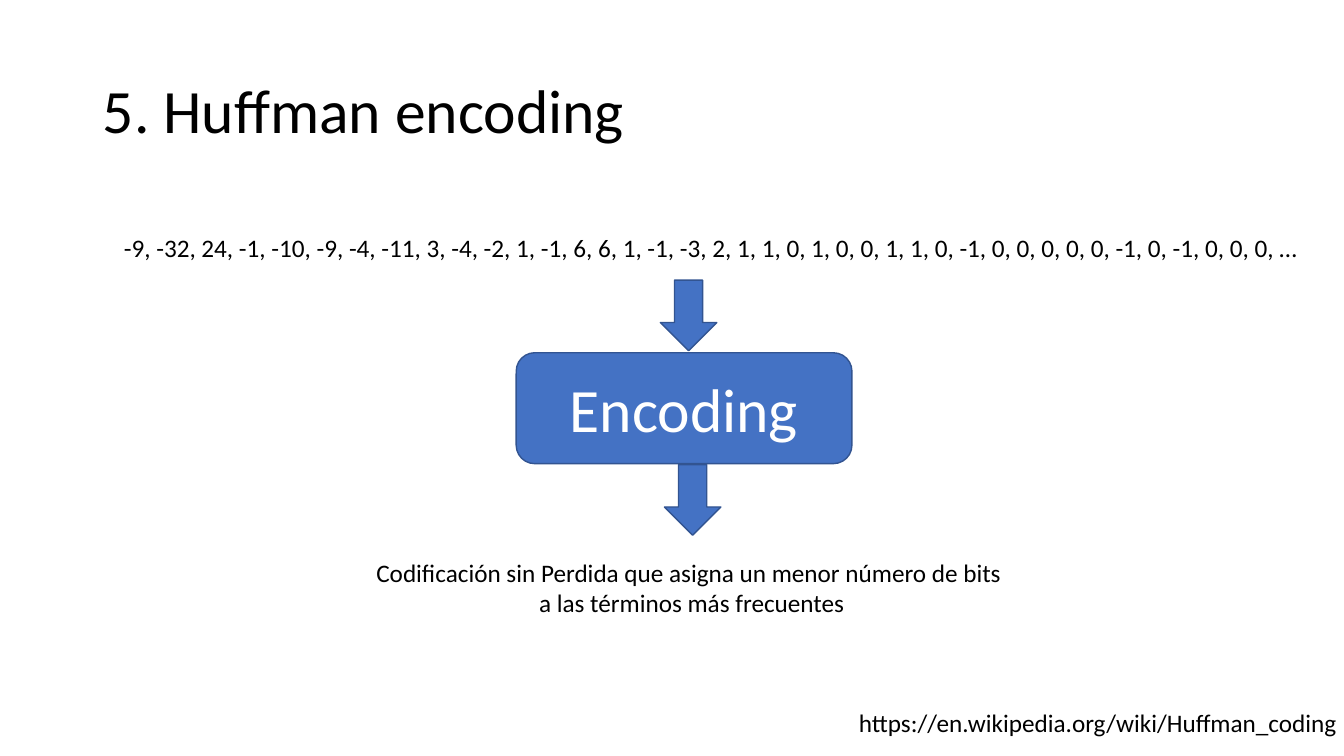
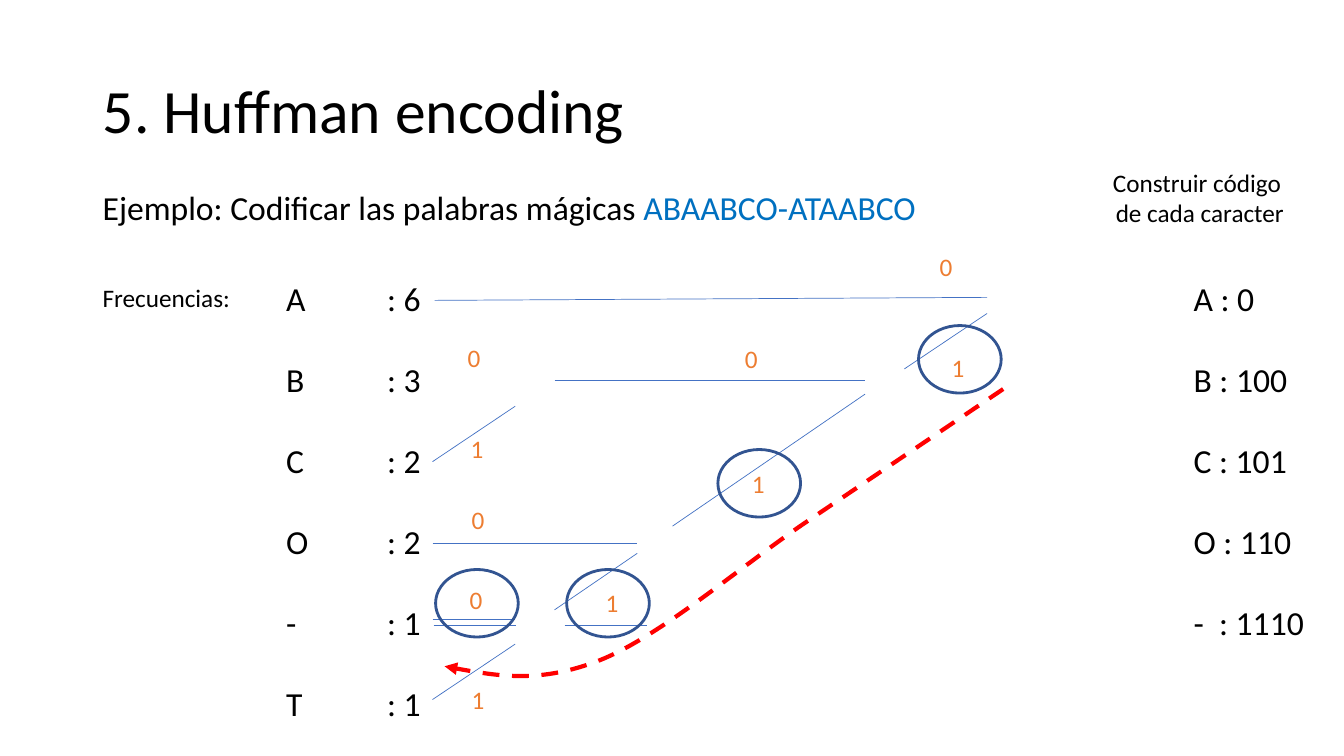
from pptx import Presentation
from pptx import util as u
from pptx.dml.color import RGBColor
from pptx.enum import dml, shapes, text
from pptx.oxml.ns import qn
from pptx.oxml.xmlchemy import OxmlElement

COLORS = {"text": "000000", "white": "FFFFFF", "box": "4472C4", "edge": "325491",
          "word": "0070C0", "bit": "ED7D31", "route": "FF0000"}
FONT = "Calibri"
TITLE = "5. Huffman encoding"
TITLE_BOX = (0.92, 0.4, 11.5, 1.45)
LEFT, CENTER = text.PP_ALIGN.LEFT, text.PP_ALIGN.CENTER

SEQUENCE = ("-9, -32, 24, -1, -10, -9, -4, -11, 3, -4, -2, 1, -1, 6, 6, 1, -1, -3, 2, 1, 1, 0, "
            "1, 0, 0, 1, 1, 0, -1, 0, 0, 0, 0, 0, -1, 0, -1, 0, 0, 0, …")
CODES = [("A", ": 6", "A : 0"), ("B", ": 3", "B : 100"), ("C", ": 2", "C : 101"),
         ("O", ": 2", "O : 110"), ("-", ": 1", "-  : 1110"), ("T", ": 1")]

BRANCHES = [(0, 3.19, 0.82, 3.19), (0, 3.99, 0.82, 3.44), (0, 2.44, 2.03, 2.44),
            (1.21, 3.1, 2.03, 2.54), (1.31, 3.25, 2.13, 3.25), (0, 1.63, 0.82, 1.08),
            (2.38, 2.27, 4.29, 0.96), (1.21, 0.82, 4.29, 0.82), (4.68, 0.71, 5.5, 0.16),
            (0.02, 0.03, 5.5, 0), (0.01, 3.25, 0.83, 3.25)]
BITS = [("0", 4.93, -0.51), ("1", 5.05, 0.5), ("0", 3, 0.41), ("1", 3.07, 1.65),
        ("0", 0.25, 0.4), ("1", 0.28, 1.3), ("1", 1.62, 2.83), ("0", 0.27, 2.8),
        ("1", 0.29, 3.79), ("0", 0.29, 2)]
RINGS = [(4.82, 0.28), (2.83, 1.51), (1.33, 2.7), (0.03, 2.7)]
ROUTE = [(5.66, 0.91), (3.69, 2.24), (3.03, 2.69), (2.26, 3.36), (1.66, 3.6),
         (1.07, 3.83), (0.59, 3.75), (0.12, 3.66)]


def inches(*values):
    """Convert numbers to lengths."""
    return [u.Inches(v) for v in values]


def rgb(name):
    """Look up a palette colour."""
    return RGBColor.from_string(COLORS[name])


def set_attrs(obj, values):
    """Set attributes from a dict of format values."""
    for name, value in values.items():
        setattr(obj, name, value)


def write(p, runs, size, align=LEFT):
    """Fill a paragraph with (text, colour) runs."""
    p.alignment = align
    for words, color in runs:
        r = p.add_run()
        r.text = words
        set_attrs(r.font, {"name": FONT, "size": u.Pt(size)})
        r.font.color.rgb = rgb(color)


def add_text(s, box, paragraphs, size=18, align=LEFT):
    """Add an unwrapped text box with one list of runs per paragraph."""
    tf = s.shapes.add_textbox(*inches(*box)).text_frame
    set_attrs(tf, {"word_wrap": False, "auto_size": text.MSO_AUTO_SIZE.SHAPE_TO_FIT_TEXT})
    for i, runs in enumerate(paragraphs):
        write(tf.add_paragraph() if i else tf.paragraphs[0], runs, size, align)


def add_shape(s, kind, box, fill=None, width=1):
    """Add an outlined preset shape, filled if a colour is given."""
    sp = s.shapes.add_shape(kind, *inches(*box))
    sp.shadow.inherit = False
    if fill:
        sp.fill.solid()
        sp.fill.fore_color.rgb = rgb(fill)
    else:
        sp.fill.background()
    sp.line.color.rgb = rgb("edge")
    sp.line.width = u.Pt(width)
    return sp


def add_titled_slide(prs):
    """Add a slide with the shared title."""
    s = prs.slides.add_slide(prs.slide_layouts[5])
    sp = s.shapes.title
    set_attrs(sp, dict(zip(("left", "top", "width", "height"), inches(*TITLE_BOX))))
    set_attrs(sp.text_frame, {"vertical_anchor": text.MSO_ANCHOR.MIDDLE,
                              "auto_size": text.MSO_AUTO_SIZE.NONE})
    p = sp.text_frame.paragraphs[0]
    p.line_spacing = 0.9
    write(p, [(TITLE, "text")], 44)
    return s


def add_encoder(s, x, y):
    """Draw the encoding box with an arrow into it and one out of it."""
    arrow = shapes.MSO_SHAPE.DOWN_ARROW
    add_shape(s, arrow, (x + 1.43, y, 0.56, 0.7), "box")
    sp = add_shape(s, shapes.MSO_SHAPE.ROUNDED_RECTANGLE, (x, y + 0.72, 3.33, 1.1), "box")
    sp.text_frame.vertical_anchor = text.MSO_ANCHOR.MIDDLE
    write(sp.text_frame.paragraphs[0], [("Encoding", "white")], 44, CENTER)
    add_shape(s, arrow, (x + 1.47, y + 1.83, 0.56, 0.7), "box")


def add_code_list(s, x, y):
    """List characters, frequencies and codes in tabbed columns."""
    tf = s.shapes.add_textbox(*inches(x, y, 10.39, 4.55)).text_frame
    tf.word_wrap = True
    for i, row in enumerate(CODES):
        p = tf.add_paragraph() if i else tf.paragraphs[0]
        p.space_before = u.Pt(29 if i else 0)
        tabs = OxmlElement("a:tabLst")
        for stop in inches(1, 9):
            tab = OxmlElement("a:tab")
            tab.set("pos", str(stop))
            tab.set("algn", "l")
            tabs.append(tab)
        p._p.get_or_add_pPr().append(tabs)
        write(p, [("\t".join(row), "text")], 24)


def add_branch(s, x1, y1, x2, y2):
    """Draw a thin branch of the tree."""
    cx = s.shapes.add_connector(shapes.MSO_CONNECTOR.STRAIGHT, *inches(x1, y1, x2, y2))
    cx.line.color.rgb = rgb("box")
    cx.line.width = u.Pt(0.5)
    cx._element.spPr.append(OxmlElement("a:effectLst"))


def add_route(s, points):
    """Draw a dashed arrow: one straight part, then cubic curves."""
    pts = [inches(*pt) for pt in points]
    fb = s.shapes.build_freeform(*pts[0], scale=1.0)
    fb.add_line_segments(pts[1:], close=False)
    sp = fb.convert_to_shape()
    sp.shadow.inherit = False
    sp.fill.background()
    sp.line.color.rgb = rgb("route")
    set_attrs(sp.line, {"width": u.Pt(3), "dash_style": dml.MSO_LINE.DASH})
    spPr = sp._element.spPr
    segments = list(spPr.iter(qn("a:lnTo")))[1:]
    for i in range(0, len(segments), 3):
        curve = OxmlElement("a:cubicBezTo")
        segments[i].addprevious(curve)
        for seg in segments[i:i + 3]:
            curve.append(seg[0])
            seg.getparent().remove(seg)
    head = OxmlElement("a:tailEnd")
    head.set("type", "triangle")
    spPr.find(qn("a:ln")).append(head)


def add_tree(s, x, y):
    """Draw the code tree with its bits, rings and reading direction."""
    for x1, y1, x2, y2 in BRANCHES:
        add_branch(s, x + x1, y + y1, x + x2, y + y2)
    for bit, dx, dy in BITS:
        add_text(s, (x + dx, y + dy, 0.33, 0.4), [[(bit, "bit")]])
    for dx, dy in RINGS:
        add_shape(s, shapes.MSO_SHAPE.OVAL, (x + dx, y + dy, 0.82, 0.67), width=2)
    add_route(s, [(x + dx, y + dy) for dx, dy in ROUTE])


def build_overview(prs):
    """Build the slide that shows what the encoding step does."""
    s = add_titled_slide(prs)
    add_text(s, (1.13, 2.26, 12.01, 0.4), [[(SEQUENCE, "text")]])
    add_encoder(s, 5.12, 2.78)
    add_text(s, (3.59, 5.48, 6.54, 0.71),
             [[("Codificación sin Perdida que asigna un menor número de bits ", "text")],
              [("a las términos más frecuentes", "text")]], align=CENTER)
    add_text(s, (8.42, 6.97, 5.01, 0.4),
             [[("https://en.wikipedia.org/wiki/Huffman_coding", "text")]])


def build_example(prs):
    """Build the worked example slide."""
    s = add_titled_slide(prs)
    add_text(s, (0.92, 1.81, 8.64, 0.5),
             [[("Ejemplo: Codificar las palabras mágicas ", "text"),
               ("ABAABCO-ATAABCO", "word")]], 24)
    add_text(s, (0.92, 2.75, 1.48, 0.4), [[("Frecuencias:", "text")]])
    add_code_list(s, 2.74, 2.71)
    add_text(s, (10.93, 1.61, 1.94, 0.71),
             [[("Construir código ", "text")], [("de cada caracter", "text")]], align=CENTER)
    add_tree(s, 4.29, 2.95)


def main():
    """Build and save the presentation."""
    prs = Presentation()
    prs.slide_width, prs.slide_height = inches(13.33, 7.5)
    build_overview(prs)
    build_example(prs)
    prs.save("out.pptx")


if __name__ == "__main__":
    main()
